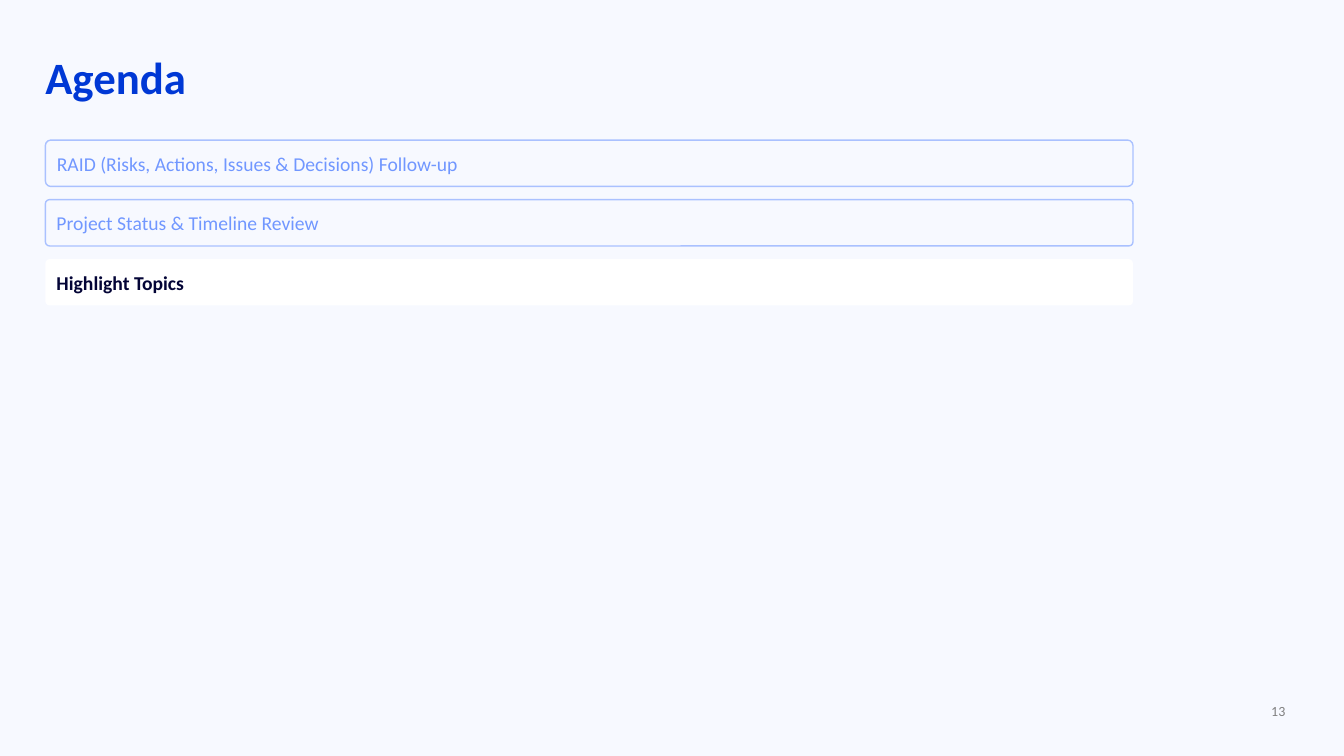
from pptx import Presentation
from pptx.dml.color import RGBColor
from pptx.enum import shapes, text
from pptx.util import Pt

BACKGROUND = RGBColor(0xF7, 0xF9, 0xFF)
TITLE_BLUE = RGBColor(0x00, 0x38, 0xD5)
MUTED_BLUE = RGBColor(0x71, 0x97, 0xFF)
BORDER_BLUE = RGBColor(0xAA, 0xC1, 0xFF)
NAVY = RGBColor(0x03, 0x04, 0x36)
GRAY = RGBColor(0x80, 0x80, 0x80)
WHITE = RGBColor(0xFF, 0xFF, 0xFF)

FONT = "Calibri"
LEFT = 32.4
ITEM_TOP = 100.1
ITEM_PITCH = 42.5
ITEM_WIDTH = 776.9
ITEM_HEIGHT = 33.1
AGENDA = [
    ("RAID (Risks, Actions, Issues & Decisions) Follow-up", 0.116),
    ("Project Status & Timeline Review", 0.09),
    ("Highlight Topics", 0.09),
]
CURRENT_ITEM = "Highlight Topics"


def write_text(shape, content, *, size, color, bold=False,
               align=text.PP_ALIGN.LEFT, anchor=text.MSO_ANCHOR.MIDDLE,
               left_inset=7.2):
    frame = shape.text_frame
    frame.word_wrap = True
    frame.auto_size = text.MSO_AUTO_SIZE.NONE
    frame.vertical_anchor = anchor
    frame.margin_left, frame.margin_right = Pt(left_inset), Pt(7.2)
    frame.margin_top = frame.margin_bottom = Pt(3.6)
    paragraph = frame.paragraphs[0]
    paragraph.alignment = align
    run = paragraph.add_run()
    run.text = content
    run.font.name = FONT
    run.font.size = Pt(size)
    run.font.bold = bold
    run.font.color.rgb = color


def add_title(slide, content):
    title = slide.shapes.title
    title.left, title.top = Pt(LEFT), Pt(31.7)
    title.width, title.height = Pt(892.8), Pt(46.1)
    write_text(title, content, size=32, color=TITLE_BLUE, bold=True,
               anchor=text.MSO_ANCHOR.TOP, left_inset=0)


def add_agenda_item(slide, top, content, rounding, current):
    item = slide.shapes.add_shape(
        shapes.MSO_SHAPE.ROUNDED_RECTANGLE,
        Pt(LEFT), Pt(top), Pt(ITEM_WIDTH), Pt(ITEM_HEIGHT))
    item.adjustments[0] = rounding
    item.shadow.inherit = False
    if current:
        item.fill.solid()
        item.fill.fore_color.rgb = WHITE
        item.line.fill.background()
    else:
        item.fill.background()
        item.line.color.rgb = BORDER_BLUE
        item.line.width = Pt(1)
    write_text(item, content, size=14, bold=current,
               color=NAVY if current else MUTED_BLUE)


def add_page_number(slide, number):
    box = slide.shapes.add_textbox(Pt(709.2), Pt(498.2), Pt(216), Pt(19.4))
    write_text(box, number, size=10, color=GRAY, align=text.PP_ALIGN.RIGHT)


def main():
    presentation = Presentation()
    presentation.slide_width, presentation.slide_height = Pt(960), Pt(540)
    slide = presentation.slides.add_slide(presentation.slide_layouts[5])
    slide.background.fill.solid()
    slide.background.fill.fore_color.rgb = BACKGROUND
    add_title(slide, "Agenda")
    for index, (content, rounding) in enumerate(AGENDA):
        add_agenda_item(slide, ITEM_TOP + index * ITEM_PITCH, content,
                        rounding, content == CURRENT_ITEM)
    add_page_number(slide, "13")
    presentation.save("out.pptx")


if __name__ == "__main__":
    main()
